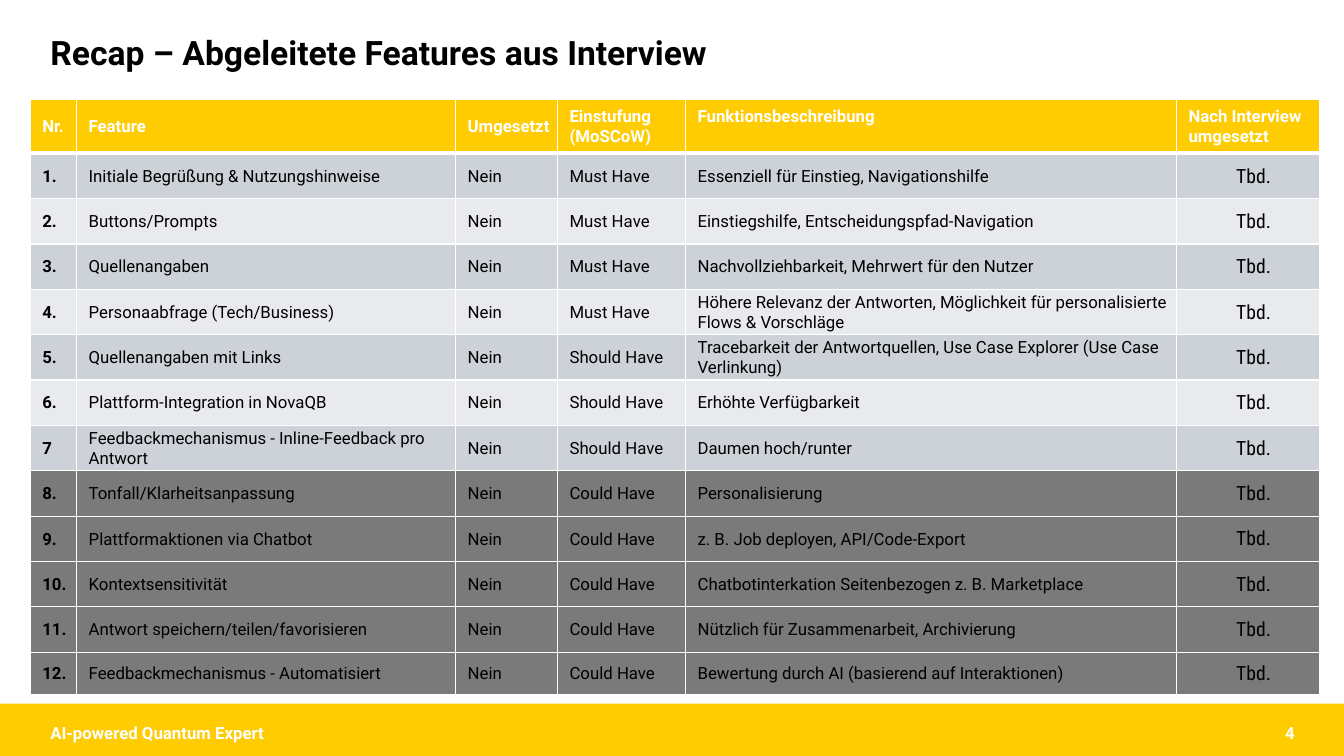
from dataclasses import astuple, dataclass

from lxml.etree import SubElement
from pptx import Presentation
from pptx.dml.color import RGBColor
from pptx.enum.shapes import MSO_SHAPE as Preset
from pptx.enum.text import MSO_ANCHOR as Anchor, PP_ALIGN as Align
from pptx.oxml.ns import qn
from pptx.util import Emu, Inches, Pt

YELLOW, WHITE, BLACK = "FECC00", "FFFFFF", "000000"
DARK_BAND, LIGHT_BAND, OUT_OF_SCOPE = "CCD2D8", "E8EAED", "7B7A7A"
ROBOTO, CONDENSED = "Roboto", "Roboto Condensed"
SLIDE_WIDTH, SLIDE_HEIGHT = Inches(13.33), Inches(7.5)
COLUMN_SHARES = [3.45, 28.2, 7.58, 9.53, 36.53, 10.65]
ROW_SHARES = [7.07] + [6] * 11 + [5.6]
HEADINGS = ["Nr.", "Feature", "Umgesetzt", "Einstufung (MoSCoW)",
            "Funktionsbeschreibung", "Nach Interview umgesetzt"]
MUST, SHOULD, COULD = "Must Have", "Should Have", "Could Have"


@dataclass
class Area:
    left: float
    top: float
    width: float
    height: float


@dataclass
class Style:
    size: float = 12
    colour: str = BLACK
    bold: bool = False
    font: str = ROBOTO
    align: Align = Align.LEFT


@dataclass
class Feature:
    number: str
    title: str
    priority: str
    purpose: str


@dataclass
class FooterText:
    area: Area
    text: str
    align: Align


FEATURES = [
    Feature("1.", "Initiale Begrüßung & Nutzungshinweise", MUST,
            "Essenziell für Einstieg, Navigationshilfe"),
    Feature("2.", "Buttons/Prompts", MUST, "Einstiegshilfe, Entscheidungspfad-Navigation"),
    Feature("3.", "Quellenangaben", MUST, "Nachvollziehbarkeit, Mehrwert für den Nutzer"),
    Feature("4.", "Personaabfrage (Tech/Business)", MUST,
            "Höhere Relevanz der Antworten, Möglichkeit für personalisierte Flows & Vorschläge"),
    Feature("5.", "Quellenangaben mit Links", SHOULD,
            "Tracebarkeit der Antwortquellen, Use Case Explorer (Use Case Verlinkung)"),
    Feature("6.", "Plattform-Integration in NovaQB", SHOULD, "Erhöhte Verfügbarkeit"),
    Feature("7", "Feedbackmechanismus - Inline-Feedback pro Antwort", SHOULD,
            "Daumen hoch/runter"),
    Feature("8.", "Tonfall/Klarheitsanpassung", COULD, "Personalisierung"),
    Feature("9.", "Plattformaktionen via Chatbot", COULD, "z. B. Job deployen, API/Code-Export"),
    Feature("10.", "Kontextsensitivität", COULD,
            "Chatbotinterkation Seitenbezogen z. B. Marketplace"),
    Feature("11.", "Antwort speichern/teilen/favorisieren", COULD,
            "Nützlich für Zusammenarbeit, Archivierung"),
    Feature("12.", "Feedbackmechanismus - Automatisiert", COULD,
            "Bewertung durch AI (basierend auf Interaktionen)"),
]

FOOTER = [
    FooterText(Area(3, 95.47, 33.76, 2.8), "AI-powered Quantum Expert", Align.LEFT),
    FooterText(Area(74.57, 95.47, 22.5, 2.8), "4", Align.RIGHT),
]


def colour(value: str) -> RGBColor:
    return RGBColor.from_string(value)


def across(percent: float) -> Emu:
    return Emu(round(SLIDE_WIDTH * percent / 100))


def down(percent: float) -> Emu:
    return Emu(round(SLIDE_HEIGHT * percent / 100))


def bounds(area: Area) -> tuple:
    return across(area.left), down(area.top), across(area.width), down(area.height)


def write(frame, text: str, style: Style) -> None:
    frame.text = text
    frame.word_wrap = True
    paragraph = frame.paragraphs[0]
    paragraph.alignment = style.align
    font = paragraph.runs[0].font
    font.name, font.size, font.bold = style.font, Pt(style.size), style.bold
    font.color.rgb = colour(style.colour)


def add_title(slide, text: str) -> None:
    title = slide.shapes.title
    title.left, title.top, title.width, title.height = bounds(Area(3, 4.13, 70.59, 6.27))
    write(title.text_frame, text, Style(24, bold=True))
    title.text_frame.vertical_anchor = Anchor.MIDDLE
    title.text_frame.paragraphs[0].line_spacing = 0.9


def add_footer(slide) -> None:
    bar = slide.shapes.add_shape(Preset.RECTANGLE, *bounds(Area(0, 93.07, 100, 6.93)))
    bar.shadow.inherit = False
    bar.fill.solid()
    bar.fill.fore_color.rgb = colour(YELLOW)
    bar.line.fill.background()
    for entry in FOOTER:
        frame = slide.shapes.add_textbox(*bounds(entry.area)).text_frame
        write(frame, entry.text, Style(12, WHITE, True, align=entry.align))
        frame.margin_top = frame.margin_bottom = 0
        frame.vertical_anchor = Anchor.MIDDLE


def add_borders(cell, top: float, bottom: float) -> None:
    properties = cell._tc.get_or_add_tcPr()
    for side, width in {"L": 1, "R": 1, "T": top, "B": bottom}.items():
        border = SubElement(properties, qn(f"a:ln{side}"), w=str(Pt(width)))
        SubElement(SubElement(border, qn("a:solidFill")), qn("a:srgbClr"), val=WHITE)


def fill_cell(cell, text: str, style: Style, fill: str, top: float, bottom: float) -> None:
    write(cell.text_frame, text, style)
    cell.vertical_anchor = Anchor.MIDDLE
    cell.margin_left = Inches(0.12)
    cell.margin_top = cell.margin_right = Inches(0.01)
    cell.margin_bottom = 0
    add_borders(cell, top, bottom)
    cell.fill.solid()
    cell.fill.fore_color.rgb = colour(fill)


def band(index: int, feature: Feature) -> str:
    if feature.priority == COULD:
        return OUT_OF_SCOPE
    return LIGHT_BAND if index % 2 else DARK_BAND


def add_feature_table(slide) -> None:
    area = Area(2.25, 13.2, sum(COLUMN_SHARES), sum(ROW_SHARES))
    table = slide.shapes.add_table(
        len(ROW_SHARES), len(COLUMN_SHARES), *bounds(area)).table
    for column, share in zip(table.columns, COLUMN_SHARES):
        column.width = across(share)
    for row, share in zip(table.rows, ROW_SHARES):
        row.height = down(share)

    for column, heading in enumerate(HEADINGS):
        fill_cell(table.cell(0, column), heading, Style(12, WHITE, True), YELLOW, 1, 3)
    purpose_heading = table.cell(0, HEADINGS.index("Funktionsbeschreibung"))
    purpose_heading.vertical_anchor = Anchor.TOP
    purpose_heading.margin_top = Inches(0.07)

    body = Style()
    styles = [Style(bold=True), body, body, body, body,
              Style(14, font=CONDENSED, align=Align.CENTER)]
    for index, feature in enumerate(FEATURES):
        number, title, priority, purpose = astuple(feature)
        values = [number, title, "Nein", priority, purpose, "Tbd."]
        for column, (value, style) in enumerate(zip(values, styles)):
            fill_cell(table.cell(index + 1, column), value, style,
                      band(index, feature), 1 if index else 3, 1)


def main() -> None:
    deck = Presentation()
    deck.slide_width, deck.slide_height = SLIDE_WIDTH, SLIDE_HEIGHT
    slide = deck.slides.add_slide(deck.slide_layouts[5])
    add_title(slide, "Recap – Abgeleitete Features aus Interview")
    add_footer(slide)
    add_feature_table(slide)
    deck.save("out.pptx")


if __name__ == "__main__":
    main()
